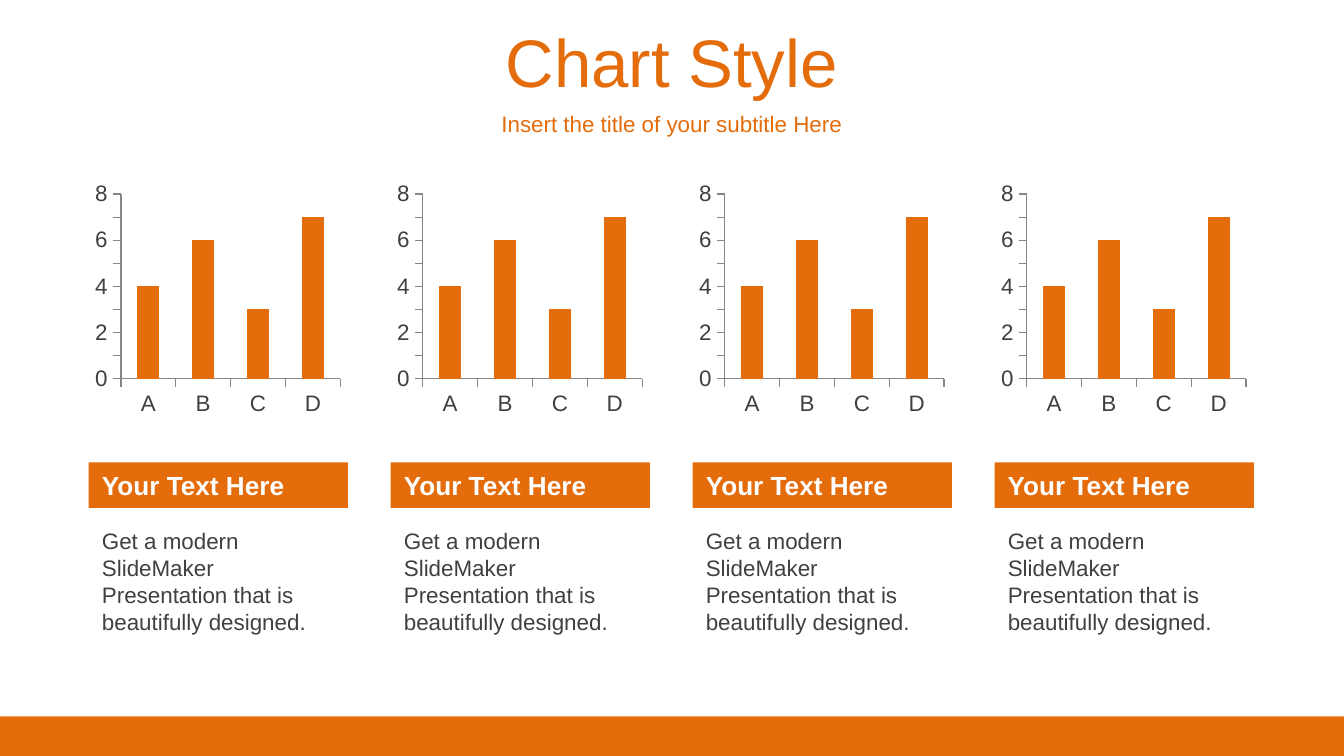
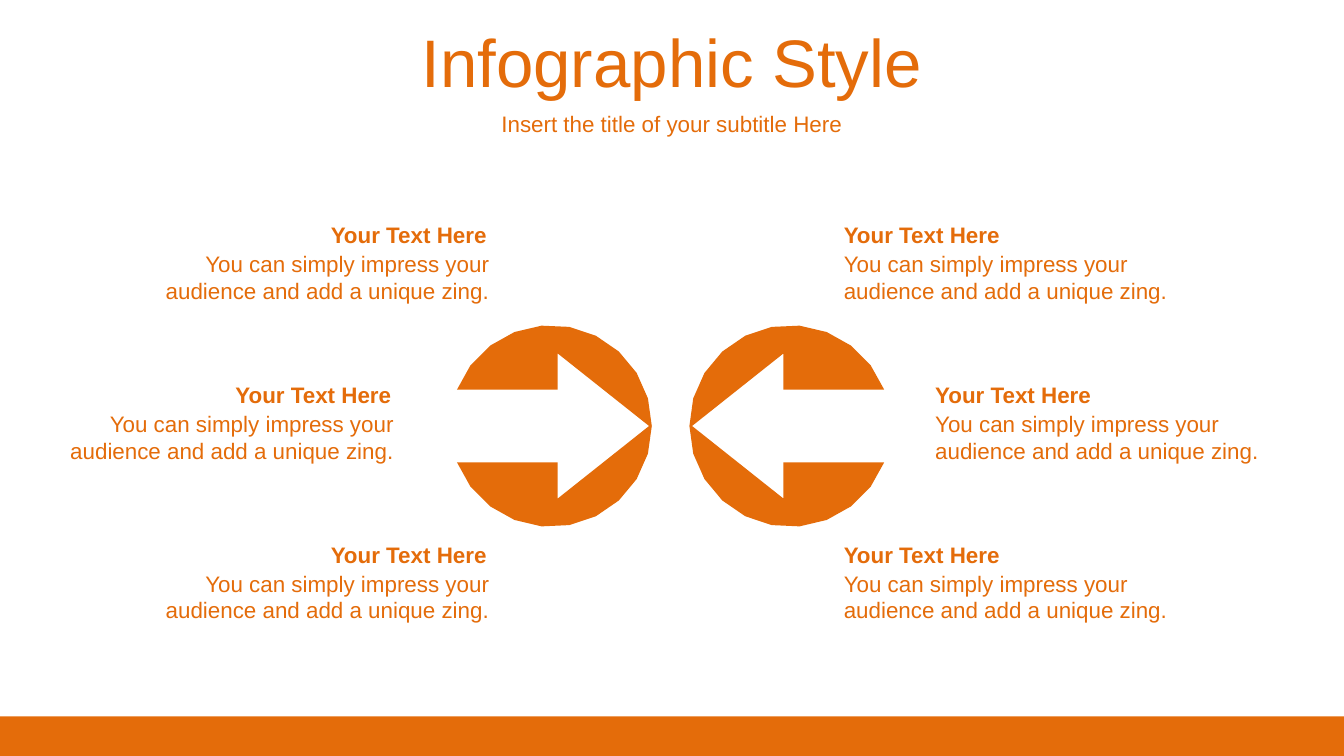
from math import asin, cos, pi, sin

from pptx import Presentation
from pptx.chart.data import CategoryChartData
from pptx.dml.color import RGBColor
from pptx.enum.chart import XL_CHART_TYPE, XL_TICK_MARK
from pptx.enum.shapes import MSO_SHAPE
from pptx.enum.text import MSO_ANCHOR, MSO_AUTO_SIZE, PP_ALIGN
from pptx.util import Inches, Pt

COLORS = {"accent": "E46C0A", "body": "404040", "axis": "868686", "white": "FFFFFF"}
FONT = "Arial"
SLIDE_WIDTH = Inches(10)
SLIDE_HEIGHT = SLIDE_WIDTH * 9 // 16
FOOTER_TOP = Inches(5.33)

SUBTITLE = "Insert the title of your subtitle Here"
HEADING = "Your Text Here"
COLUMN_TEXT = "Get a modern SlideMaker Presentation that is beautifully designed."
CALLOUT_TEXT = "You can simply impress your audience and add a unique zing."

COLUMN_COUNT = 4
FIRST_COLUMN = 0.66
LAST_COLUMN = 7.4
CHART_VALUES = {"A": 4, "B": 6, "C": 3, "D": 7}

CALLOUT_TOP = 1.6
CALLOUT_PITCH = 1.19
LEFT_CALLOUTS = ((0.75, 2.99), (0.12, 2.91), (0.75, 2.99))
RIGHT_CALLOUTS = ((6.18, 2.99), (6.86, 2.99), (6.18, 2.99))

CIRCLE_Y = 3.17
RADIUS = 0.75
SHAFT = 0.27
HEAD = 0.54
NOTCH = 0.05
TIP = 0.73
ARC_STEPS = 20


def color(name):
    return RGBColor.from_string(COLORS[name])


def set_font(font, size, color_name, bold=False):
    font.name = FONT
    font.size = Pt(size)
    font.bold = bold
    font.color.rgb = color(color_name)


def fill_shape(shape):
    shape.shadow.inherit = False
    shape.fill.solid()
    shape.fill.fore_color.rgb = color("accent")
    shape.line.fill.background()


def write_text(shape, text, size, color_name, bold=False, align=PP_ALIGN.LEFT,
               anchor=MSO_ANCHOR.TOP, auto_size=MSO_AUTO_SIZE.SHAPE_TO_FIT_TEXT):
    frame = shape.text_frame
    frame.word_wrap = True
    frame.auto_size = auto_size
    frame.vertical_anchor = anchor
    paragraph = frame.paragraphs[0]
    paragraph.text = text
    paragraph.alignment = align
    set_font(paragraph.font, size, color_name, bold)


def add_text(slide, left, top, width, height, text, size, color_name, **style):
    box = slide.shapes.add_textbox(
        Inches(left), Inches(top), Inches(width), Inches(height))
    write_text(box, text, size, color_name, **style)


def add_bar(slide, left, top, width, height):
    bar = slide.shapes.add_shape(MSO_SHAPE.RECTANGLE, left, top, width, height)
    fill_shape(bar)
    return bar


def add_titled_slide(presentation, title):
    slide = presentation.slides.add_slide(presentation.slide_layouts[6])
    add_bar(slide, 0, FOOTER_TOP, SLIDE_WIDTH, SLIDE_HEIGHT - FOOTER_TOP)
    centered = {"align": PP_ALIGN.CENTER, "anchor": MSO_ANCHOR.MIDDLE,
                "auto_size": MSO_AUTO_SIZE.NONE}
    add_text(slide, 0, 0.14, 10, 0.63, title, 36, "accent", **centered)
    add_text(slide, 0, 0.77, 10, 0.3, SUBTITLE, 12, "accent", **centered)
    return slide


def add_column_chart(slide, left):
    data = CategoryChartData()
    data.categories = list(CHART_VALUES)
    data.add_series("Series 1", list(CHART_VALUES.values()))
    chart = slide.shapes.add_chart(
        XL_CHART_TYPE.COLUMN_STACKED, Inches(left), Inches(1.32),
        Inches(1.9), Inches(1.81), data).chart
    chart.has_legend = False
    chart.has_title = False
    chart.font.name = FONT
    chart.font.size = Pt(18)
    plot = chart.plots[0]
    plot.gap_width = 150
    plot.overlap = 100
    plot.vary_by_categories = False
    bars = plot.series[0].format.fill
    bars.solid()
    bars.fore_color.rgb = color("accent")
    for axis in (chart.category_axis, chart.value_axis):
        axis.has_major_gridlines = False
        axis.major_tick_mark = XL_TICK_MARK.OUTSIDE
        axis.minor_tick_mark = XL_TICK_MARK.NONE
        axis.format.line.color.rgb = color("axis")
        set_font(axis.tick_labels.font, 12, "body")
    chart.value_axis.minimum_scale = 0
    chart.value_axis.maximum_scale = 8
    chart.value_axis.major_unit = 1


def add_chart_column(slide, left):
    add_column_chart(slide, left + 0.01)
    band = add_bar(slide, Inches(left), Inches(3.44), Inches(1.93), Inches(0.34))
    write_text(band, HEADING, 14, "white", bold=True, anchor=MSO_ANCHOR.MIDDLE)
    add_text(slide, left, 3.87, 1.91, 0.91, COLUMN_TEXT, 12, "body",
             anchor=MSO_ANCHOR.MIDDLE)


def add_arrow_circle(slide, center_x, direction):
    cut = pi - asin(SHAFT / RADIUS)
    angles = [-cut + 2 * cut * step / ARC_STEPS for step in range(ARC_STEPS + 1)]
    outline = [(RADIUS * cos(angle), RADIUS * sin(angle)) for angle in angles]
    outline += [(NOTCH, SHAFT), (NOTCH, HEAD), (TIP, 0), (NOTCH, -HEAD), (NOTCH, -SHAFT)]
    points = [(Inches(center_x + direction * x), Inches(CIRCLE_Y + y))
              for x, y in outline]
    builder = slide.shapes.build_freeform(*points[0])
    builder.add_line_segments(points[1:], close=True)
    fill_shape(builder.convert_to_shape())


def add_callout(slide, left, top, width, align):
    add_text(slide, left, top + 0.21, width, 0.5, CALLOUT_TEXT, 12,
             "accent", align=align)
    add_text(slide, left, top, width - 0.02, 0.3, HEADING, 12,
             "accent", bold=True, align=align)


def build_chart_slide(presentation):
    slide = add_titled_slide(presentation, "Chart Style")
    pitch = (LAST_COLUMN - FIRST_COLUMN) / (COLUMN_COUNT - 1)
    for column in range(COLUMN_COUNT):
        add_chart_column(slide, FIRST_COLUMN + column * pitch)


def build_infographic_slide(presentation):
    slide = add_titled_slide(presentation, "Infographic Style")
    add_arrow_circle(slide, 4.1, 1)
    add_arrow_circle(slide, 5.88, -1)
    for callouts, align in ((LEFT_CALLOUTS, PP_ALIGN.RIGHT),
                            (RIGHT_CALLOUTS, PP_ALIGN.LEFT)):
        for row, (left, width) in enumerate(callouts):
            add_callout(slide, left, CALLOUT_TOP + row * CALLOUT_PITCH, width, align)


def main():
    presentation = Presentation()
    presentation.slide_width = SLIDE_WIDTH
    presentation.slide_height = SLIDE_HEIGHT
    build_chart_slide(presentation)
    build_infographic_slide(presentation)
    presentation.save("out.pptx")


if __name__ == "__main__":
    main()
